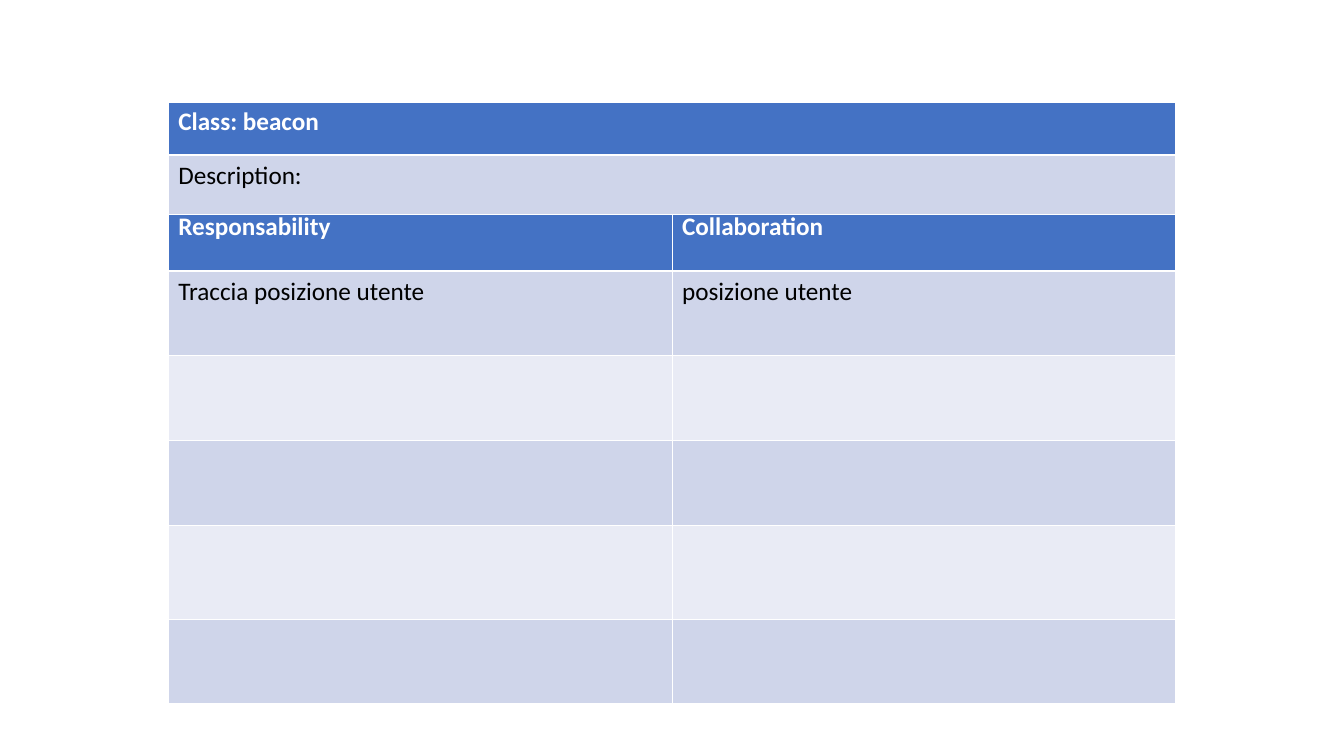
"""Build a class card slide with a heading table and a responsibility table."""
from dataclasses import dataclass

import lxml.etree
import pptx
import pptx.dml.color
import pptx.oxml.ns
import pptx.util
from pptx.util import Inches


@dataclass(frozen=True)
class Theme:
    """Colours, font and sizes of the slide."""
    header: str = "4472C4"
    bands: tuple = ("CFD5EA", "E9EBF5")
    border: str = "FFFFFF"
    header_text: str = "FFFFFF"
    body_text: str = "000000"
    font: str = "Calibri"
    text_size: float = 18
    thin: float = 0.45
    thick: float = 1.47


THEME = Theme()
LEFT, WIDTH = 1.67, 10


def add_border(cell, side, points):
    """Draw one solid border of a cell."""
    name = pptx.oxml.ns.qn
    properties = cell._tc.get_or_add_tcPr()
    line = lxml.etree.SubElement(properties, name(f"a:ln{side}"), w=str(int(pptx.util.Pt(points))))
    fill = lxml.etree.SubElement(line, name("a:solidFill"))
    lxml.etree.SubElement(fill, name("a:srgbClr"), val=THEME.border)


def format_cell(cell, row):
    """Give a cell its borders, fill and margins."""
    thick_sides = {0: "B", 1: "T"}
    for side in "LRTB":
        add_border(cell, side, THEME.thick if side == thick_sides.get(row) else THEME.thin)
    colour = THEME.header if row == 0 else THEME.bands[(row - 1) % 2]
    cell.fill.solid()
    cell.fill.fore_color.rgb = pptx.dml.color.RGBColor.from_string(colour)
    cell.margin_left = cell.margin_right = Inches(0.1)
    cell.margin_top = cell.margin_bottom = Inches(0.05)


def write_cell(cell, text, is_header):
    """Write one run of text in a cell."""
    span = cell.text_frame.paragraphs[0].add_run()
    span.text = text
    span.font.name = THEME.font
    span.font.size = pptx.util.Pt(THEME.text_size)
    span.font.bold = is_header
    colour = THEME.header_text if is_header else THEME.body_text
    span.font.color.rgb = pptx.dml.color.RGBColor.from_string(colour)


def add_card_table(page, top, heights, texts):
    """Add a table with a header row, banded rows and equal columns."""
    columns = len(texts[0])
    frame = page.shapes.add_table(len(heights), columns, Inches(LEFT), Inches(top),
                                  Inches(WIDTH), Inches(sum(heights)))
    table = frame.table
    table.first_row = table.horz_banding = False
    for row, height in enumerate(heights):
        table.rows[row].height = Inches(height)
        for column in range(columns):
            cell = table.cell(row, column)
            format_cell(cell, row)
            if row < len(texts):
                write_cell(cell, texts[row][column], row == 0)


def main():
    """Build and save the deck."""
    deck = pptx.Presentation()
    deck.slide_width, deck.slide_height = Inches(13.34), Inches(7.5)
    page = deck.slides.add_slide(deck.slide_layouts[6])
    add_card_table(page, 2.05, [0.64, 0.84, 0.84, 0.84, 0.93, 0.84],
                   [["Responsability", "Collaboration"],
                    ["Traccia posizione utente", "posizione utente"]])
    add_card_table(page, 1.01, [0.53, 0.59], [["Class: beacon"], ["Description:"]])
    deck.save("out.pptx")


if __name__ == "__main__":
    main()
